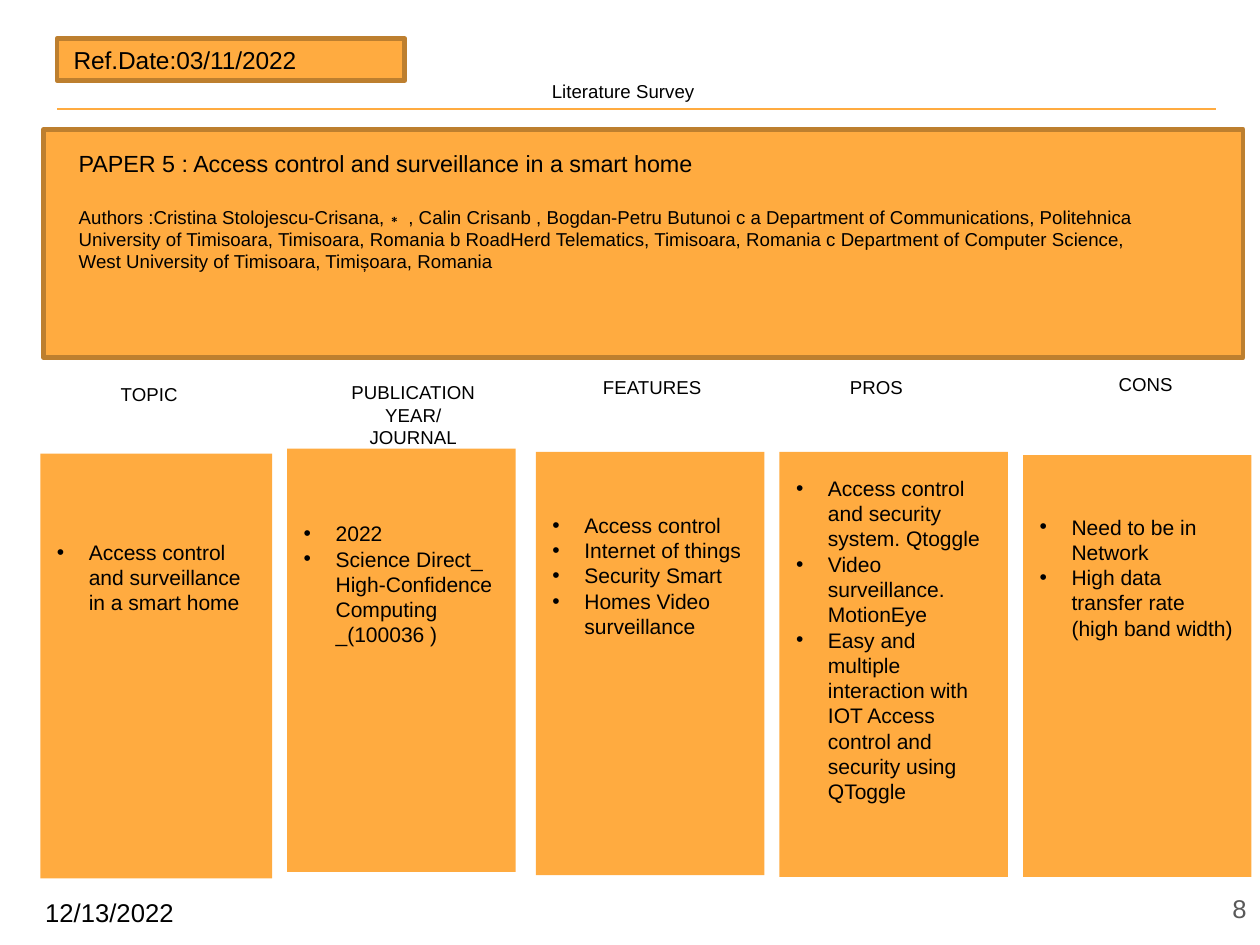
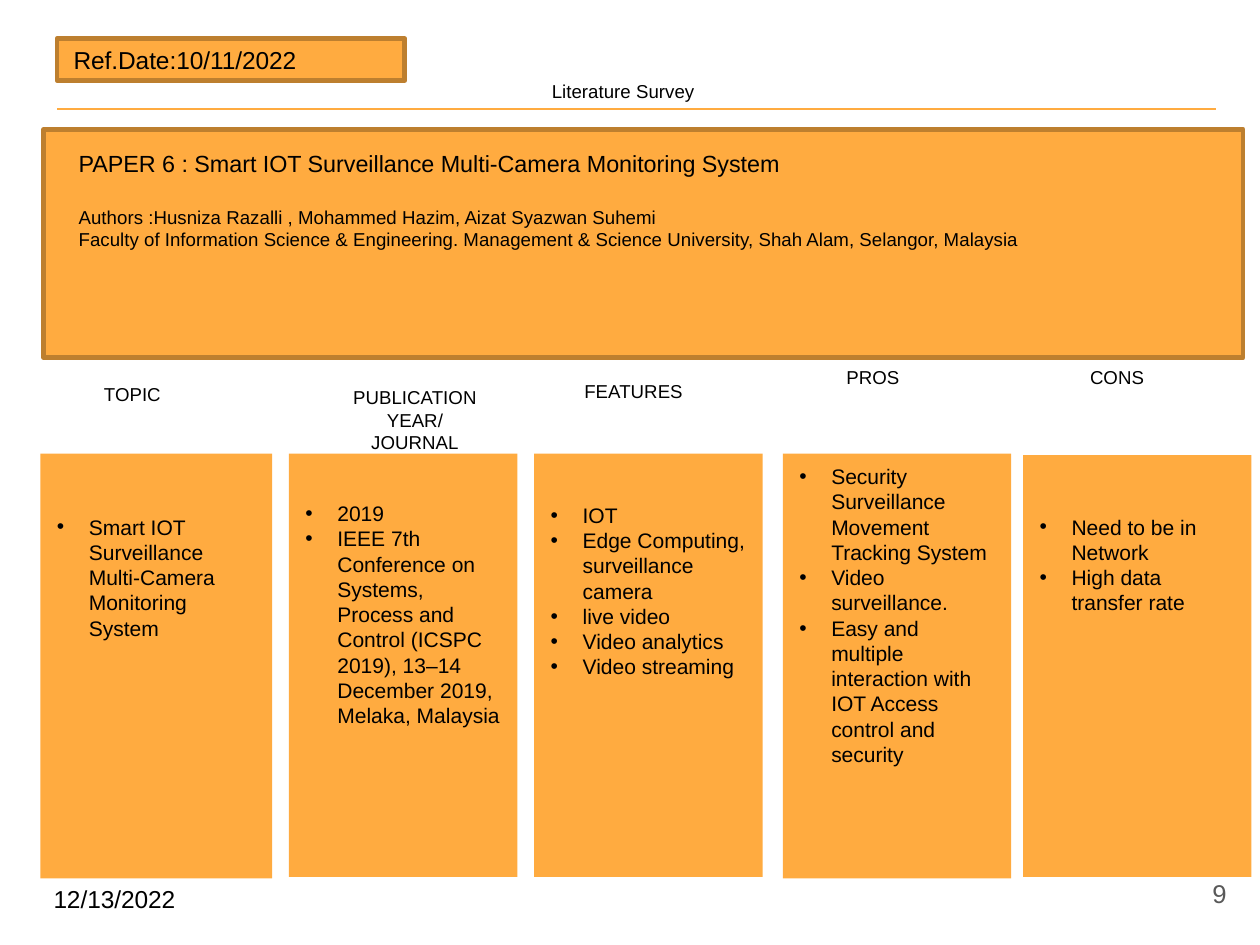
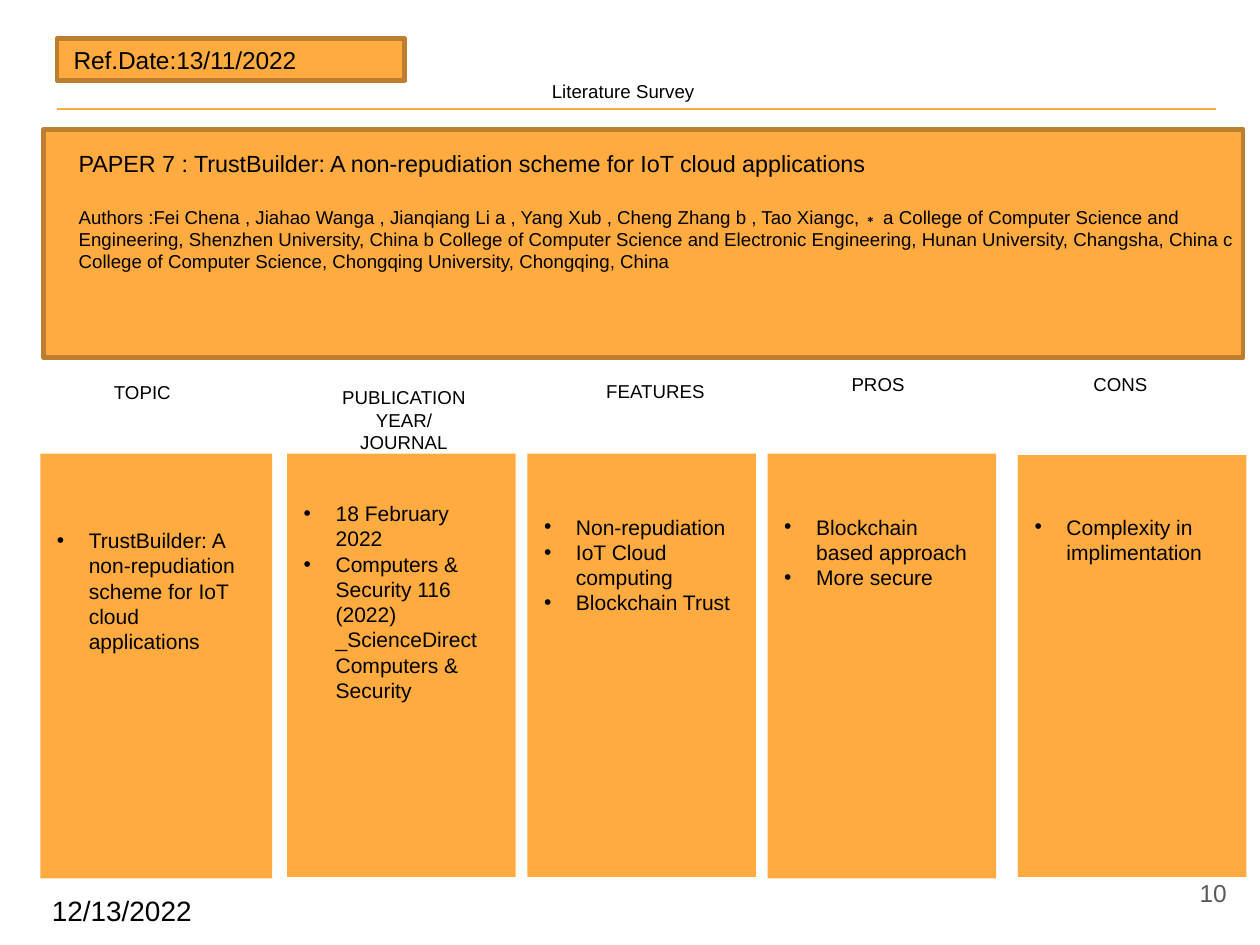
from lxml.etree import SubElement
from pptx import Presentation
from pptx.dml.color import RGBColor
from pptx.enum.shapes import MSO_CONNECTOR, MSO_SHAPE
from pptx.enum.text import MSO_ANCHOR as Anchor, MSO_AUTO_SIZE, PP_ALIGN as Align
from pptx.oxml.ns import qn
from pptx.util import Inches, Pt

rgb = RGBColor.from_string
ORANGE, BROWN, BLACK, GRAY = "FFAB40", "BD7F2F", "000000", "595959"
FONT = "Arial"


def write(frame, lines, size, color=BLACK, align=Align.LEFT, anchor=Anchor.TOP,
          insets=(0.1, 0.05, 0.1, 0.05), bullets=False):
    frame.word_wrap = True
    frame.auto_size = MSO_AUTO_SIZE.NONE
    frame.vertical_anchor = anchor
    frame.margin_left, frame.margin_top, frame.margin_right, frame.margin_bottom = map(Inches, insets)
    for index, line in enumerate(lines):
        paragraph = frame.paragraphs[0] if index == 0 else frame.add_paragraph()
        paragraph.alignment = align
        if bullets:
            properties = paragraph._p.get_or_add_pPr()
            properties.set("marL", str(Inches(0.19)))
            properties.set("indent", str(-Inches(0.19)))
            bullet_color = SubElement(properties, qn("a:buClr"))
            SubElement(bullet_color, qn("a:srgbClr"), val=BLACK)
            SubElement(properties, qn("a:buFont"), typeface=FONT)
            SubElement(properties, qn("a:buChar"), char="•")
        run = paragraph.add_run()
        run.text = line
        run.font.name = FONT
        run.font.size = Pt(size)
        run.font.color.rgb = rgb(color)


def add_panel(slide, area, border=None):
    panel = slide.shapes.add_shape(MSO_SHAPE.RECTANGLE, *map(Inches, area))
    panel.shadow.inherit = False
    panel.fill.solid()
    panel.fill.fore_color.rgb = rgb(ORANGE)
    if border:
        panel.line.color.rgb = rgb(border)
        panel.line.width = Pt(2)
    else:
        panel.line.fill.background()
    return panel.text_frame


HEADINGS = [["TOPIC"], ["PUBLICATION YEAR/", "JOURNAL"], ["FEATURES"], ["PROS"], ["CONS"]]
HEADING_HEIGHTS = [0.24, 0.64, 0.24, 0.24, 0.24]
CARD_SIZES = [(1.38, 2.53), (1.36, 2.52), (1.36, 2.52), (1.36, 2.53), (1.36, 2.51)]

papers = [
    {
        "reference": "Ref.Date:03/11/2022",
        "title": "PAPER 5 : Access control and surveillance in a smart home",
        "authors": ["Authors :Cristina Stolojescu-Crisana,∗ , Calin Crisanb , Bogdan-Petru Butunoi c a "
                    "Department of Communications, Politehnica University of Timisoara, Timisoara, Romania b "
                    "RoadHerd Telematics, Timisoara, Romania c Department of Computer Science, "
                    "West University of Timisoara, Timișoara, Romania"],
        "paper_width": 6.49,
        "date": (0.17, 5.28, 11),
        "number": ("8", 7.07, 5.19, 11),
        "headings": [(0.62, 2.23, 0.62), (1.97, 2.22, 0.98), (3.49, 2.19, 0.92),
                     (4.96, 2.19, 0.59), (6.56, 2.17, 0.59)],
        "cards": [
            (0.24, 2.7, 0.51, ["Access control and surveillance in a smart home"]),
            (1.71, 2.67, 0.43, ["2022", "Science Direct_ High-Confidence Computing _(100036 )"]),
            (3.19, 2.69, 0.36, ["Access control", "Internet of things", "Security Smart",
                                "Homes Video surveillance"]),
            (4.64, 2.69, 0.14, ["Access control and security system. Qtoggle",
                                "Video surveillance. MotionEye",
                                "Easy and multiple interaction with IOT Access control "
                                "and security using QToggle"]),
            (6.09, 2.71, 0.35, ["Need to be in Network", "High data transfer rate (high band width)"]),
        ],
    },
    {
        "reference": "Ref.Date:10/11/2022",
        "title": "PAPER 6 : Smart IOT Surveillance Multi-Camera Monitoring System",
        "authors": ["Authors :Husniza Razalli , Mohammed Hazim, Aizat Syazwan Suhemi",
                    "Faculty of Information Science & Engineering. Management & Science University, "
                    "Shah Alam, Selangor, Malaysia"],
        "paper_width": 7.13,
        "date": (0.22, 5.2, 10.5),
        "number": ("9", 6.95, 5.1, 11),
        "headings": [(0.52, 2.23, 0.69), (1.98, 2.25, 0.98), (3.38, 2.21, 0.84),
                     (4.94, 2.13, 0.84), (6.39, 2.13, 0.73)],
        "cards": [
            (0.24, 2.7, 0.36, ["Smart IOT Surveillance Multi-Camera Monitoring System"]),
            (1.72, 2.7, 0.28, ["2019", "IEEE 7th Conference on Systems, Process and Control "
                               "(ICSPC 2019), 13–14 December 2019, Melaka, Malaysia"]),
            (3.18, 2.7, 0.29, ["IOT", "Edge Computing, surveillance camera", "live video",
                               "Video analytics", "Video streaming"]),
            (4.66, 2.7, 0.06, ["Security Surveillance Movement Tracking System", "Video surveillance.",
                               "Easy and multiple interaction with IOT Access control and security"]),
            (6.09, 2.71, 0.35, ["Need to be in Network", "High data transfer rate"]),
        ],
    },
    {
        "reference": "Ref.Date:13/11/2022",
        "title": "PAPER 7 : TrustBuilder: A non-repudiation scheme for IoT cloud applications",
        "authors": ["Authors :Fei Chena , Jiahao Wanga , Jianqiang Li a , Yang Xub , Cheng Zhang b , "
                    "Tao Xiangc,∗ a College of Computer Science and Engineering, Shenzhen University, "
                    "China b College of Computer Science and Electronic Engineering, Hunan University, "
                    "Changsha, China c College of Computer Science, Chongqing University, Chongqing, China"],
        "paper_width": 7.13,
        "date": (0.21, 5.27, 12),
        "number": ("10", 6.95, 5.1, 10.5),
        "headings": [(0.58, 2.22, 0.84), (1.79, 2.25, 1.23), (3.51, 2.21, 0.8),
                     (4.97, 2.17, 0.62), (6.41, 2.17, 0.62)],
        "cards": [
            (0.24, 2.7, 0.44, ["TrustBuilder: A non-repudiation scheme for IoT cloud applications"]),
            (1.71, 2.7, 0.28, ["18 February 2022",
                               "Computers & Security 116 (2022) _ScienceDirect Computers & Security"]),
            (3.14, 2.7, 0.36, ["Non-repudiation", "IoT Cloud computing", "Blockchain Trust"]),
            (4.57, 2.7, 0.36, ["Blockchain based approach", "More secure"]),
            (6.06, 2.71, 0.35, ["Complexity in implimentation"]),
        ],
    },
]

prs = Presentation()
prs.slide_width = Inches(7.5)
prs.slide_height = prs.slide_width * 3 // 4

for paper in papers:
    slide = prs.slides.add_slide(prs.slide_layouts[5])
    shapes = slide.shapes

    title = shapes.title
    title.left, title.top, title.width, title.height = map(Inches, (0.26, 0.05, 6.9, 0.66))
    write(title.text_frame, ["Literature Survey"], 8, align=Align.CENTER, anchor=Anchor.BOTTOM,
          insets=(0.1,) * 4)

    rule = shapes.add_connector(MSO_CONNECTOR.STRAIGHT, Inches(0.34), Inches(0.65),
                                Inches(7.24), Inches(0.65))
    rule.line.color.rgb = rgb(ORANGE)
    rule.line.width = Pt(0.75)
    SubElement(rule._element.spPr, qn("a:effectLst"))

    reference = add_panel(slide, (0.34, 0.23, 2.07, 0.25), BROWN)
    write(reference, [paper["reference"]], 10.5, anchor=Anchor.MIDDLE)

    add_panel(slide, (0.26, 0.77, 7.14, 1.36), BROWN)
    citation = shapes.add_textbox(Inches(0.37), Inches(0.84), Inches(paper["paper_width"]),
                                  Inches(0.84)).text_frame
    write(citation, [paper["title"], *paper["authors"]], 8)
    citation.paragraphs[0].runs[0].font.size = Pt(10)
    citation.paragraphs[1].space_before = Pt(12)

    for heading, height, (left, top, width) in zip(HEADINGS, HEADING_HEIGHTS, paper["headings"]):
        label = shapes.add_textbox(Inches(left), Inches(top), Inches(width), Inches(height))
        write(label.text_frame, heading, 8, align=Align.CENTER if len(heading) > 1 else Align.LEFT)

    for (width, height), (left, top, text_offset, points) in zip(CARD_SIZES, paper["cards"]):
        card = add_panel(slide, (left, top, width, height))
        write(card, points, 9, insets=(0.1, text_offset, 0.1, 0.05), bullets=True)

    left, top, size = paper["date"]
    date = shapes.add_textbox(Inches(left), Inches(top), Inches(1.69), Inches(0.3))
    write(date.text_frame, ["12/13/2022"], size, anchor=Anchor.MIDDLE)

    page, left, top, size = paper["number"]
    number = shapes.add_textbox(Inches(left), Inches(top), Inches(0.45), Inches(0.43))
    write(number.text_frame, [page], size, GRAY, Align.RIGHT, Anchor.MIDDLE, (0.1,) * 4)

prs.save("out.pptx")
